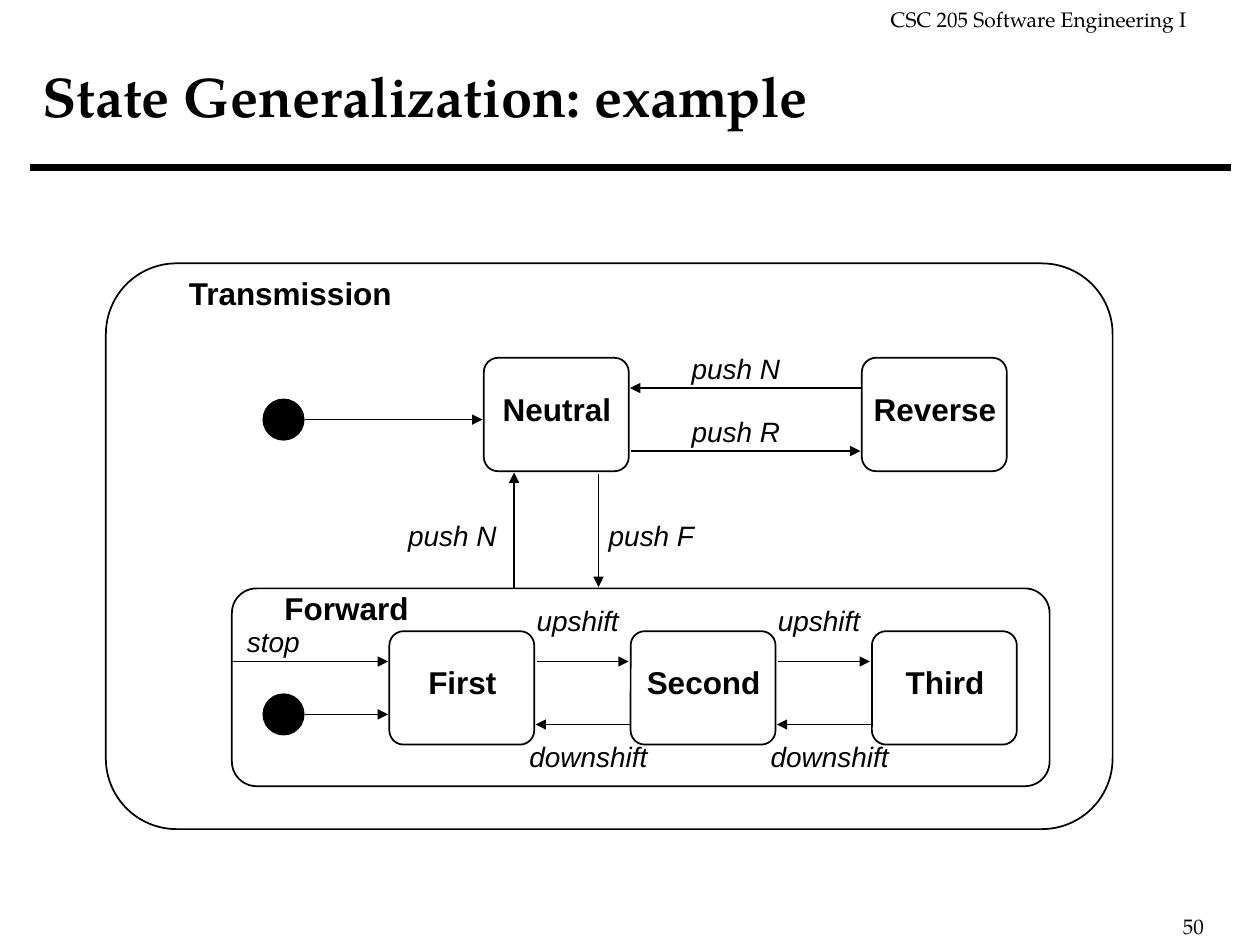
from dataclasses import dataclass

from lxml import etree
from pptx import Presentation
from pptx.dml.color import RGBColor
from pptx.enum.shapes import MSO_CONNECTOR, MSO_SHAPE
from pptx.enum.text import MSO_ANCHOR, MSO_AUTO_SIZE, PP_ALIGN
from pptx.oxml.ns import qn
from pptx.util import Inches, Pt

BLACK = RGBColor(0x00, 0x00, 0x00)
SERIF = "TeX Gyre Pagella"
SANS = "Arial"
ROUNDED = MSO_SHAPE.ROUNDED_RECTANGLE
ELLIPSE = MSO_SHAPE.OVAL
STRAIGHT = MSO_CONNECTOR.STRAIGHT
LEFT, CENTER = PP_ALIGN.LEFT, PP_ALIGN.CENTER
TOP, MIDDLE = MSO_ANCHOR.TOP, MSO_ANCHOR.MIDDLE
FIXED, GROW = MSO_AUTO_SIZE.NONE, MSO_AUTO_SIZE.SHAPE_TO_FIT_TEXT

STATE_WIDTH, STATE_HEIGHT = 1.15, 0.9
DOT_SIZE = 0.32
GEAR_STEP = 1.915


@dataclass(frozen=True)
class Box:
    left: float
    top: float
    width: float
    height: float


@dataclass(frozen=True)
class Label:
    text: str
    box: Box


@dataclass(frozen=True)
class Transition:
    start: tuple[float, float]
    end: tuple[float, float]


REGIONS = [Box(0.84, 2.09, 7.99, 4.49), Box(1.84, 4.67, 6.49, 1.57)]
STATE_CORNERS = [(3.84, 2.84), (6.84, 2.84)] + [
    (3.09 + gear * GEAR_STEP, 5.01) for gear in range(3)
]
INITIAL_DOTS = [(2.09, 3.17), (2.09, 5.51)]

TRANSITIONS = [
    Transition((2.42, 3.33), (3.83, 3.33)),
    Transition((2.42, 5.67), (3.08, 5.67)),
    Transition((1.84, 5.25), (3.08, 5.25)),
    Transition((4.08, 4.67), (4.08, 3.75)),
    Transition((4.75, 3.76), (4.75, 4.66)),
    Transition((5.01, 3.58), (6.83, 3.58)),
    Transition((6.83, 3.08), (5, 3.08)),
]
NAMES = [
    Label("Neutral", Box(3.88, 3.08, 1.08, 0.37)),
    Label("Reverse", Box(6.82, 3.08, 1.2, 0.37)),
    Label("First", Box(3.29, 5.25, 0.76, 0.37)),
    Label("Second", Box(5.02, 5.25, 1.13, 0.37)),
    Label("Third", Box(7.07, 5.25, 0.86, 0.37)),
    Label("Forward", Box(2.14, 4.66, 1.22, 0.37)),
]
EVENTS = [
    Label("stop", Box(1.85, 4.94, 0.64, 0.34)),
    Label("push N", Box(3.13, 4.1, 0.92, 0.34)),
    Label("push F", Box(4.72, 4.1, 0.9, 0.34)),
    Label("push R", Box(5.38, 3.27, 0.92, 0.34)),
    Label("push N", Box(5.38, 2.77, 0.92, 0.34)),
]
for shift in (0, GEAR_STEP):
    TRANSITIONS += [
        Transition((4.26 + shift, 5.25), (4.99 + shift, 5.25)),
        Transition((5 + shift, 5.75), (4.25 + shift, 5.75)),
    ]
    EVENTS += [
        Label("upshift", Box(4.15 + shift, 4.77, 0.87, 0.34)),
        Label("downshift", Box(4.09 + shift, 5.85, 1.16, 0.34)),
    ]


def add_text(slide, text: str, box: Box, *, size: float, font: str = SANS,
             bold: bool = False, italic: bool = False, align=CENTER,
             anchor=TOP, spacing: float = 0.9, wrap: bool = False) -> None:
    shape = slide.shapes.add_textbox(Inches(box.left), Inches(box.top),
                                     Inches(box.width), Inches(box.height))
    frame = shape.text_frame
    frame.word_wrap = wrap
    frame.auto_size = FIXED if wrap else GROW
    frame.vertical_anchor = anchor
    paragraph = frame.paragraphs[0]
    paragraph.alignment = align
    paragraph.line_spacing = spacing
    run = paragraph.add_run()
    run.text = text
    run.font.name = font
    run.font.size = Pt(size)
    run.font.bold = bold
    run.font.italic = italic
    run.font.color.rgb = BLACK


def add_outline(slide, preset, box: Box, filled: bool = False) -> None:
    shape = slide.shapes.add_shape(preset, Inches(box.left), Inches(box.top),
                                   Inches(box.width), Inches(box.height))
    shape.shadow.inherit = False
    shape.line.color.rgb = BLACK
    shape.line.width = Pt(1)
    if preset == ROUNDED:
        shape.adjustments[0] = 0.125
    if filled:
        shape.fill.solid()
        shape.fill.fore_color.rgb = BLACK
    else:
        shape.fill.background()


def add_line(slide, line: Transition, width: float = 1,
             arrow: bool = True) -> None:
    points = [Inches(value) for value in line.start + line.end]
    connector = slide.shapes.add_connector(STRAIGHT, *points)
    connector.line.color.rgb = BLACK
    connector.line.width = Pt(width)
    if arrow:
        etree.SubElement(connector.line._get_or_add_ln(), qn("a:tailEnd"),
                         type="triangle")
    etree.SubElement(connector._element.spPr, qn("a:effectLst"))


def main() -> None:
    presentation = Presentation()
    presentation.slide_width = Inches(10)
    presentation.slide_height = Inches(7.5)
    slide = presentation.slides.add_slide(presentation.slide_layouts[6])

    add_text(slide, "CSC 205 Software Engineering I", Box(6.97, 0, 2.55, 0.3),
             size=12, font=SERIF, align=LEFT, spacing=1)
    add_text(slide, "50", Box(9.29, 7.2, 0.7, 0.3),
             size=12, font=SERIF, align=LEFT, spacing=1, wrap=True)
    add_line(slide, Transition((0.24, 1.33), (9.77, 1.33)), width=4, arrow=False)
    add_text(slide, "State Generalization: example", Box(0.24, 0.17, 9.58, 1.17),
             size=32, font=SERIF, bold=True, align=LEFT, anchor=MIDDLE,
             spacing=1, wrap=True)

    for region in REGIONS:
        add_outline(slide, ROUNDED, region)
    for left, top in STATE_CORNERS:
        add_outline(slide, ROUNDED, Box(left, top, STATE_WIDTH, STATE_HEIGHT))
    for left, top in INITIAL_DOTS:
        add_outline(slide, ELLIPSE, Box(left, top, DOT_SIZE, DOT_SIZE), filled=True)
    for transition in TRANSITIONS:
        add_line(slide, transition)

    add_text(slide, "Transmission", Box(1.4, 2.16, 1.82, 0.37),
             size=18, bold=True, align=LEFT)
    for name in NAMES:
        add_text(slide, name.text, name.box, size=18, bold=True)
    for event in EVENTS:
        add_text(slide, event.text, event.box, size=16, italic=True)

    presentation.save("out.pptx")


if __name__ == "__main__":
    main()
